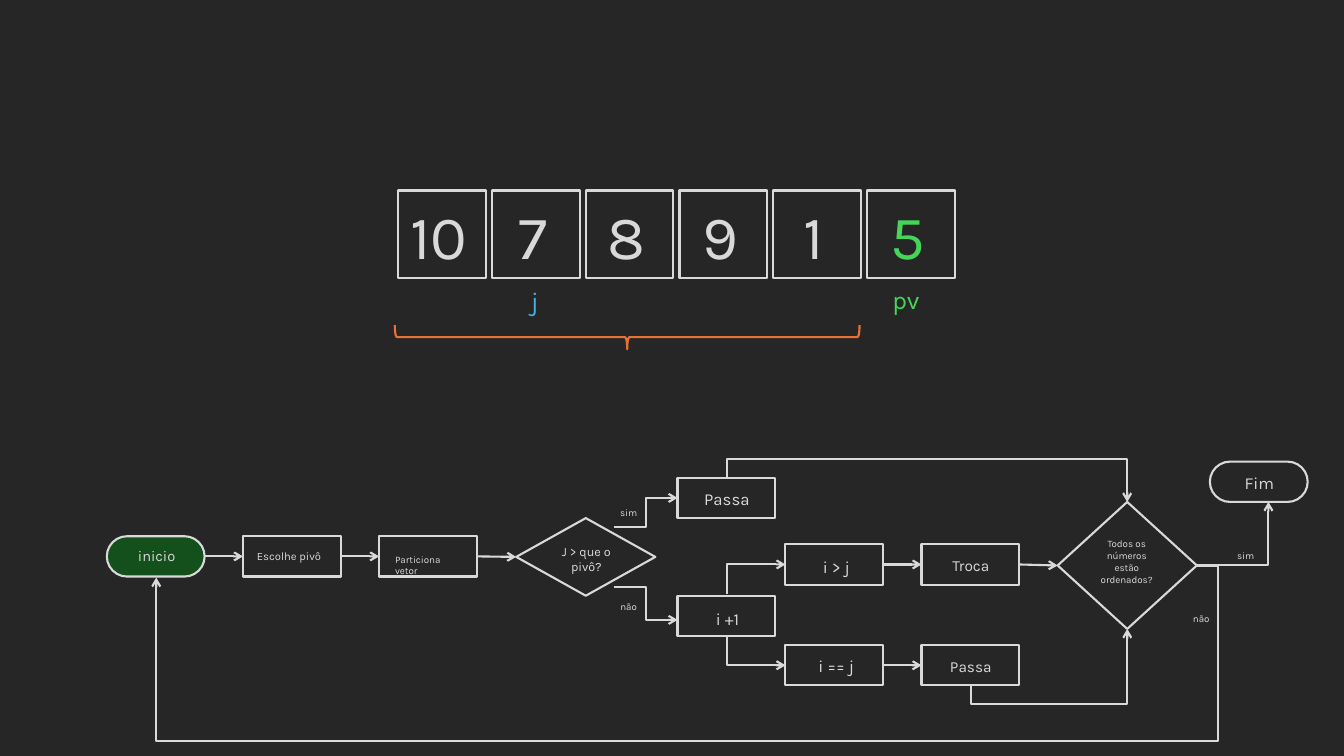
from lxml import etree
from pptx import Presentation
from pptx import util as u
from pptx.dml.color import RGBColor
from pptx.enum import shapes, text
from pptx.oxml.ns import qn

KIND = shapes.MSO_SHAPE
LINK = shapes.MSO_CONNECTOR
INK, DARK, GREEN, LIME = "D9D9D9", "262626", "13501B", "47D45A"
ORANGE, BLUE = "E97132", "46B1E1"


def px(n):
    return u.Emu(round(n * 9144))


def hue(code):
    return RGBColor.from_string(code)


class Board:
    """Draws styled flowchart parts on one slide."""

    def __init__(self, slide):
        self.slide = slide
        self.font = "Karla"
        self.width = u.Pt(1.5)

    def box(self, x, y, w, h, kind=KIND.RECTANGLE, fill=None, line=INK):
        shape = self.slide.shapes.add_shape(kind, px(x), px(y), px(w), px(h))
        shape.shadow.inherit = False
        if fill:
            shape.fill.solid()
            shape.fill.fore_color.rgb = hue(fill)
        else:
            shape.fill.background()
        shape.line.color.rgb = hue(line)
        shape.line.width = self.width
        return shape

    def step(self, x, y):
        return self.box(x, y, 97, 40)

    def pill(self, x, y, fill=None):
        shape = self.box(x, y, 97, 40, KIND.ROUNDED_RECTANGLE, fill)
        shape.adjustments[0] = 0.5
        return shape

    def label(self, words, x, y, w, h, size, color=INK, align=text.PP_ALIGN.CENTER):
        frame = self.slide.shapes.add_textbox(px(x), px(y), px(w), px(h)).text_frame
        frame.word_wrap = True
        frame.auto_size = text.MSO_AUTO_SIZE.SHAPE_TO_FIT_TEXT
        para = frame.paragraphs[0]
        para.text = words
        para.alignment = align
        para.font.name = self.font
        para.font.size = u.Pt(size)
        para.font.color.rgb = hue(color)

    def wire(self, kind, x1, y1, x2, y2):
        link = self.slide.shapes.add_connector(kind, px(x1), px(y1), px(x2), px(y2))
        link.line.color.rgb = hue(INK)
        link.line.width = self.width
        etree.SubElement(link.line._get_or_add_ln(), qn("a:tailEnd"), type="arrow")
        etree.SubElement(link._element.spPr, qn("a:effectLst"))
        return link

    def arrow(self, start, end):
        link = self.wire(LINK.STRAIGHT, 0, 0, 1, 1)
        link.begin_connect(start, 3)
        link.end_connect(end, 1)

    def elbow(self, x1, y1, x2, y2, turn=0, bends=3, adj=()):
        """Turn the frame about its centre so that the ends stay in place."""
        cx, cy = (x1 + x2) / 2, (y1 + y2) / 2
        dx, dy = x1 - cx, y1 - cy
        if turn == 90:
            dx, dy = dy, -dx
        elif turn == 270:
            dx, dy = -dy, dx
        link = self.wire(LINK.ELBOW, cx + dx, cy + dy, cx - dx, cy - dy)
        props = link._element.spPr
        if turn:
            props.find(qn("a:xfrm")).set("rot", str(turn * 60000))
        geom = props.find(qn("a:prstGeom"))
        geom.set("prst", f"bentConnector{bends}")
        guides = geom.find(qn("a:avLst"))
        for i, part in enumerate(adj, 1):
            name = "adj" if bends == 3 and len(adj) == 0 else f"adj{i}"
            etree.SubElement(guides, qn("a:gd"), name=name,
                             fmla=f"val {round(part * 100000)}")


def draw_flow(b):
    begin = b.pill(106, 532, GREEN)
    pick = b.step(241, 532)
    split = b.step(376, 532)
    test = b.box(512, 514, 138, 77, KIND.DIAMOND)
    b.step(672, 474)
    b.step(672, 591)
    more, same = b.step(779, 540), b.step(779, 640)
    swap, skip = b.step(914, 540), b.step(914, 640)
    done = b.box(1049, 498, 138, 126, KIND.DIAMOND)
    b.pill(1200, 458)

    for start, end in ((begin, pick), (pick, split), (split, test),
                       (more, swap), (same, skip), (swap, done)):
        b.arrow(start, end)

    b.elbow(609, 523, 672, 494)
    b.elbow(609, 582, 672, 615)
    b.elbow(721, 589, 779, 560, 90, 2)
    b.elbow(721, 631, 779, 660, 270, 2)
    b.elbow(721, 474, 1118, 498, 270, 3, [-0.76])
    b.elbow(963, 680, 1118, 624, 90, 3, [-0.33])
    b.elbow(1187, 561, 155, 573, 0, 4, [-0.02, 14.54])
    b.elbow(1206, 561, 1258, 498, 90, 3, [0])

    left = text.PP_ALIGN.LEFT
    b.label("inicio", 127, 538, 58, 29, 10.5, align=left)
    b.label("Escolhe pivô", 245, 540, 88, 24, 8, align=left)
    b.label("Particiona vetor", 382, 544, 88, 22, 7, align=left)
    for words, x, y, w, h, size in (
        ("J > que o pivô?", 542, 535, 79, 40, 9),
        ("Passa", 686, 480, 70, 30, 12),
        ("i +1", 682, 599, 79, 30, 12),
        ("i > j", 790, 547, 79, 30, 12),
        ("i == j", 790, 646, 79, 30, 12),
        ("Troca", 928, 547, 70, 29, 11),
        ("Passa", 928, 647, 70, 29, 11),
        ("Todos os números estão ordenados?", 1078, 529, 79, 57, 7),
        ("Fim", 1214, 464, 70, 30, 12),
        ("sim", 600, 498, 47, 22, 7),
        ("não", 600, 591, 47, 22, 7),
        ("sim", 1212, 540, 47, 22, 7),
        ("não", 1168, 603, 47, 22, 7),
    ):
        b.label(words, x, y, w, h, size)


def draw_list(b):
    values = ("10", "7", "8", "9", "1", "5")
    for i, value in enumerate(values):
        last = i == len(values) - 1
        b.box(395 + 93 * i, 189, 87, 87)
        b.label(value, 392 + 93 * i, 191, 87, 84, 44, LIME if last else INK)
    b.label("j", 501, 278, 59, 40, 18, BLUE)
    b.label("pv", 869, 277, 59, 40, 18, LIME)
    brace = b.box(610, 104, 24, 461, KIND.RIGHT_BRACE, line=ORANGE)
    brace.rotation = 90


def main():
    deck = Presentation()
    deck.slide_width, deck.slide_height = px(1333), px(750)
    board = Board(deck.slides.add_slide(deck.slide_layouts[6]))
    board.box(0, 0, 1333, 750, fill=DARK, line=DARK)
    draw_flow(board)
    draw_list(board)
    deck.save("out.pptx")


if __name__ == "__main__":
    main()
